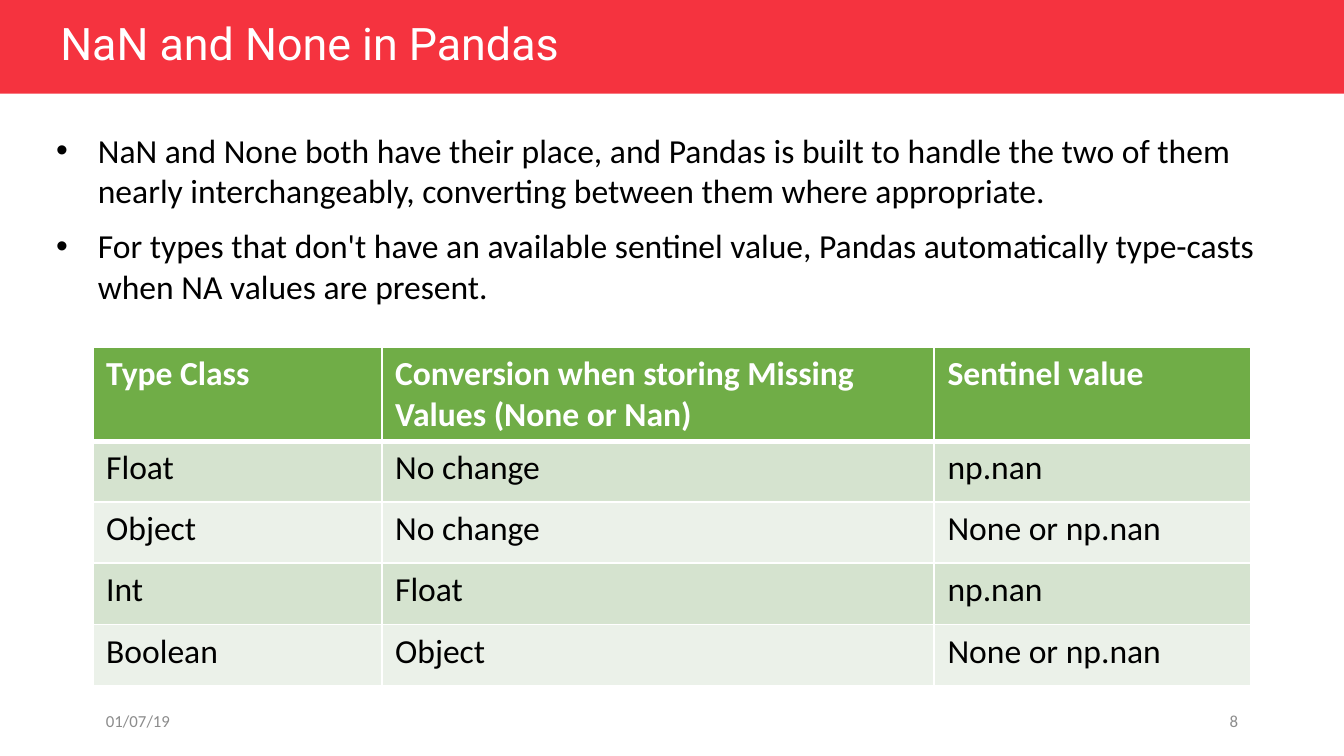
"""Build the slide on missing values in Pandas."""
from dataclasses import dataclass

from lxml import etree
from pptx import Presentation
from pptx.dml.color import RGBColor
from pptx.enum.shapes import MSO_SHAPE
from pptx.enum.text import MSO_ANCHOR, PP_ALIGN
from pptx.oxml.ns import qn
from pptx.util import Inches, Pt

RECTANGLE = MSO_SHAPE.RECTANGLE
TOP, MIDDLE = MSO_ANCHOR.TOP, MSO_ANCHOR.MIDDLE
LEFT, RIGHT = PP_ALIGN.LEFT, PP_ALIGN.RIGHT
SLIDE_WIDTH = Inches(10)
SLIDE_HEIGHT = SLIDE_WIDTH * 9 // 16
BLANK_LAYOUT = 6


@dataclass(frozen=True)
class Theme:
    """Hold the colours, fonts and point sizes of the slide."""
    banner: str = "F5333F"
    light: str = "FFFFFF"
    dark: str = "000000"
    muted: str = "8C8C8C"
    header: str = "70AD47"
    bands: tuple = ("D5E3CF", "EBF1E9")
    title_font: str = "Roboto"
    body_font: str = "Calibri"
    title_size: int = 24
    body_size: int = 18
    footer_size: int = 9
    rule: int = 1
    header_rule: int = 3


THEME = Theme()
POINTS = (
    "NaN and None both have their place, and Pandas is built to handle the two of them "
    "nearly interchangeably, converting between them where appropriate.",
    "For types that don't have an available sentinel value, Pandas automatically type-casts "
    "when NA values are present.",
)
CONVERSIONS = (
    ("Type Class", "Conversion when storing Missing Values (None or Nan)", "Sentinel value"),
    ("Float", "No change", "np.nan"),
    ("Object", "No change", "None or np.nan"),
    ("Int", "Float", "np.nan"),
    ("Boolean", "Object", "None or np.nan"),
)
COLUMN_SHARES = (21.5, 41.1, 23.6)
HEADER_SHARE, ROW_SHARE = 11.1, 8.08


def across(percent):
    """Turn a percentage of the slide's width into a length."""
    return round(SLIDE_WIDTH * percent / 100)


def down(percent):
    """Turn a percentage of the slide's height into a length."""
    return round(SLIDE_HEIGHT * percent / 100)


def place(left, top, width, height):
    """Turn four slide percentages into a position and a size."""
    return across(left), down(top), across(width), down(height)


def add_span(para, text, size, color, font=THEME.body_font, bold=False):
    """Add one formatted run to a paragraph."""
    span = para.add_run()
    span.text = text
    span.font.name = font
    span.font.size = Pt(size)
    span.font.bold = bold
    span.font.color.rgb = RGBColor.from_string(color)


def add_frame(page, area, anchor=MIDDLE):
    """Add a wrapping text box and return its text frame."""
    frame = page.shapes.add_textbox(*place(*area)).text_frame
    frame.word_wrap = True
    frame.vertical_anchor = anchor
    return frame


def add_banner(page, title):
    """Draw the title band and its heading."""
    band = page.shapes.add_shape(RECTANGLE, *place(0, 0, 100, 12.4))
    band.shadow.inherit = False
    band.fill.solid()
    band.fill.fore_color.rgb = RGBColor.from_string(THEME.banner)
    band.line.fill.background()
    para = add_frame(page, (3.5, 2.31, 40.9, 7.47)).paragraphs[0]
    para.line_spacing = 0.9
    add_span(para, title, THEME.title_size, THEME.light, THEME.title_font)


def add_bullets(page, points):
    """Write the points as a bulleted list with hanging indents."""
    frame = add_frame(page, (3.2, 16.3, 92.9, 25.24), TOP)
    indent = Inches(0.31)
    for index, point in enumerate(points):
        para = frame.add_paragraph() if index else frame.paragraphs[0]
        para.space_after = Pt(8)
        props = para._p.get_or_add_pPr()
        props.set("marL", str(indent))
        props.set("indent", str(-indent))
        etree.SubElement(props, qn("a:buFont"), typeface="Arial")
        etree.SubElement(props, qn("a:buChar"), char="•")
        add_span(para, point, THEME.body_size, THEME.dark)


def add_border(cell, side, width):
    """Draw one solid light border of a cell."""
    line = etree.SubElement(cell._tc.get_or_add_tcPr(), qn(f"a:ln{side}"), w=str(Pt(width)))
    fill = etree.SubElement(line, qn("a:solidFill"))
    etree.SubElement(fill, qn("a:srgbClr"), val=THEME.light)


def fill_cell(cell, text, row):
    """Write and style a cell according to its row."""
    is_header = row == 0
    widths = {side: THEME.rule for side in "LRTB"}
    if is_header:
        widths["B"] = THEME.header_rule
    elif row == 1:
        widths["T"] = THEME.header_rule
    for side, width in widths.items():
        add_border(cell, side, width)
    cell.fill.solid()
    color = THEME.header if is_header else THEME.bands[(row - 1) % 2]
    cell.fill.fore_color.rgb = RGBColor.from_string(color)
    ink = THEME.light if is_header else THEME.dark
    add_span(cell.text_frame.paragraphs[0], text, THEME.body_size, ink, bold=is_header)


def add_conversion_table(page, rows):
    """Add the table of type conversions."""
    height = HEADER_SHARE + ROW_SHARE * (len(rows) - 1)
    area = place(6.9, 45.9, sum(COLUMN_SHARES), height)
    table = page.shapes.add_table(len(rows), len(COLUMN_SHARES), *area).table
    for column, share in zip(table.columns, COLUMN_SHARES):
        column.width = across(share)
    for row, texts in enumerate(rows):
        table.rows[row].height = down(ROW_SHARE if row else HEADER_SHARE)
        for column, text in enumerate(texts):
            fill_cell(table.cell(row, column), text, row)


def add_footer(page, text, left, align):
    """Write one small footer entry."""
    para = add_frame(page, (left, 92.69, 22.5, 5.33)).paragraphs[0]
    para.alignment = align
    add_span(para, text, THEME.footer_size, THEME.muted)


def main():
    """Assemble and save the deck."""
    deck = Presentation()
    deck.slide_width, deck.slide_height = SLIDE_WIDTH, SLIDE_HEIGHT
    page = deck.slides.add_slide(deck.slide_layouts[BLANK_LAYOUT])
    add_banner(page, "NaN and None in Pandas")
    add_bullets(page, POINTS)
    add_conversion_table(page, CONVERSIONS)
    add_footer(page, "01/07/19", 6.9, LEFT)
    add_footer(page, "8", 70.6, RIGHT)
    deck.save("out.pptx")


if __name__ == "__main__":
    main()
